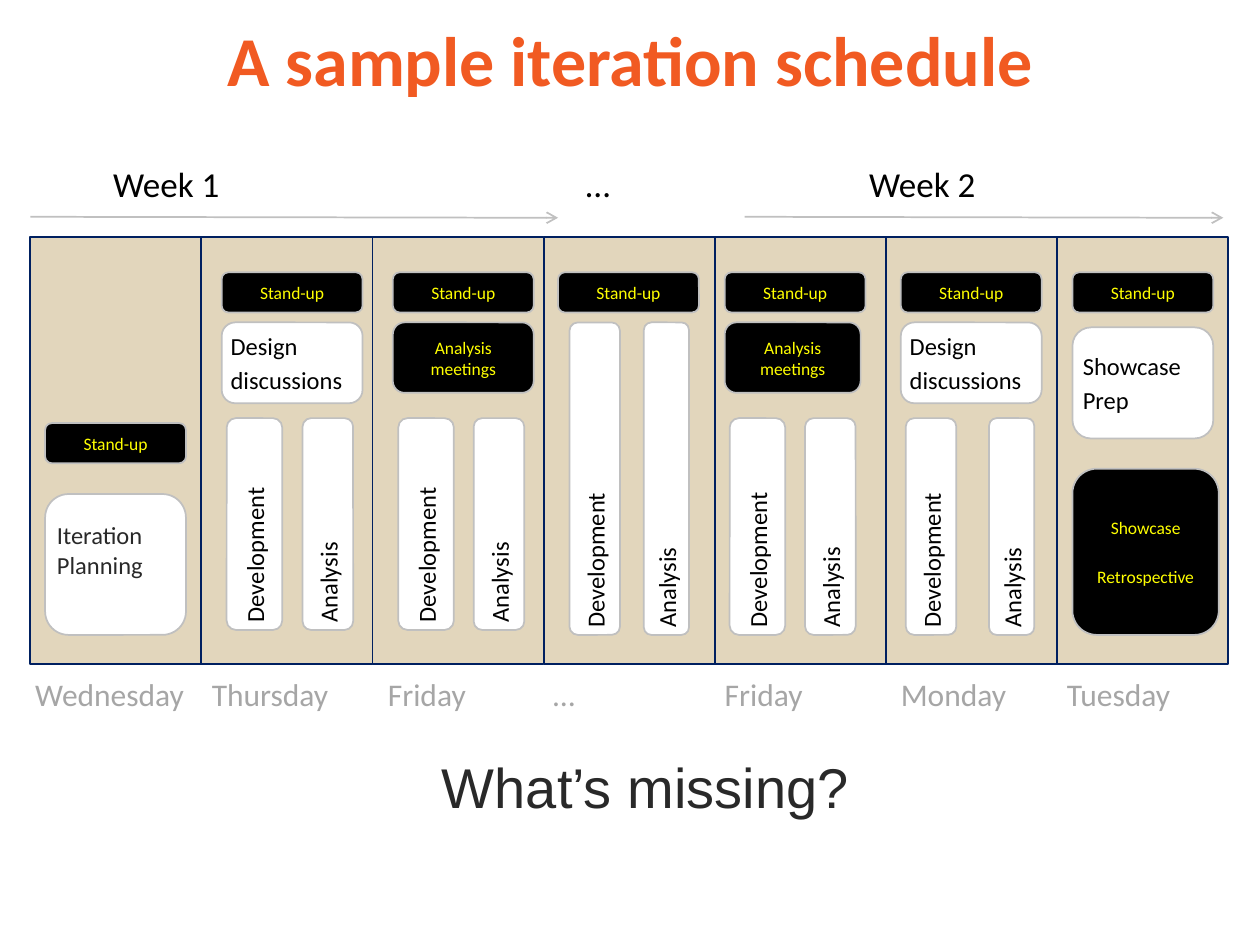
from lxml import etree
from pptx import Presentation
from pptx import util as u
from pptx.dml.color import RGBColor
from pptx.enum import shapes, text
from pptx.oxml import ns

COLOURS = {
    "title": "F15A22", "column": "C4AB73", "column_edge": "002060",
    "card_edge": "C0C0C0", "white": "FFFFFF", "black": "000000",
    "yellow": "FFFF00", "dark": "292929", "day": "A6A6A6",
}
RGB = {name: RGBColor.from_string(value) for name, value in COLOURS.items()}

deck = Presentation()
deck.slide_width, deck.slide_height = u.Cm(25.4), u.Cm(19.05)
page = deck.slides.add_slide(deck.slide_layouts[6])


def write(box, lines, size, colour, align="LEFT", anchor="TOP", inset=0,
          gap=0, font="Calibri"):
    """Fill a box with one paragraph per line, gap points apart."""
    frame = box.text_frame
    frame.word_wrap = True
    frame.vertical_anchor = text.MSO_ANCHOR[anchor]
    frame.margin_left = frame.margin_right = u.Cm(inset)
    frame.margin_top = frame.margin_bottom = u.Cm(inset)
    frame.text = "\n".join(lines)
    for number, para in enumerate(frame.paragraphs):
        para.alignment = text.PP_ALIGN[align]
        if number and gap:
            para.space_before = u.Pt(gap)
        for span in para.runs:
            span.font.name = font
            span.font.size = u.Pt(size)
            span.font.color.rgb = RGB[colour]
    return frame


def add_card(place, lines, fill="white", size=14, colour="black",
             align="LEFT", gap=2.8):
    """Add a rounded activity card; place is left, top, width, height in cm."""
    card = page.shapes.add_shape(shapes.MSO_SHAPE.ROUNDED_RECTANGLE,
                                 *[u.Cm(length) for length in place])
    card.shadow.inherit = False
    card.fill.solid()
    card.fill.fore_color.rgb = RGB[fill]
    card.line.color.rgb = RGB["card_edge"]
    card.line.width = u.Pt(1)
    return write(card, lines, size, colour, align, "MIDDLE", 0.1, gap)


# Title
title = page.shapes.add_textbox(u.Cm(1.02), 0, u.Cm(23.37), u.Cm(2.34))
frame = write(title, ["A sample iteration schedule"], 40, "title",
              "CENTER", "MIDDLE", 0.08)
frame.paragraphs[0].runs[0].font.bold = True

# Day columns
for day in range(7):
    column = page.shapes.add_shape(
        shapes.MSO_SHAPE.RECTANGLE, u.Cm(0.61 + 3.45 * day), u.Cm(4.78),
        u.Cm(3.45), u.Cm(8.61))
    column.shadow.inherit = False
    column.fill.solid()
    column.fill.fore_color.rgb = RGB["column"]
    fill_colour = column.fill._xPr.find(".//" + ns.qn("a:srgbClr"))
    etree.SubElement(fill_colour, ns.qn("a:alpha"), val="48000")
    column.line.color.rgb = RGB["column_edge"]
    column.line.width = u.Pt(1)

# Stand-up in every column, day name below it
days = [  # name, name left, stand-up left, stand-up top
    ("Wednesday", 0.71, 0.91, 8.53),
    ("Thursday", 4.27, 4.47, 5.49),
    ("Friday", 7.82, 7.92, 5.49),
    ("…", 11.15, 11.25, 5.49),
    ("Friday", 14.61, 14.61, 5.49),
    ("Monday", 18.16, 18.16, 5.49),
    ("Tuesday", 21.51, 21.62, 5.49),
]
black_style = {"fill": "black", "size": 10, "colour": "yellow",
               "align": "CENTER"}
for name, name_left, left, top in days:
    add_card((left, top, 2.84, 0.81), ["Stand-up"], **black_style)
    label = page.shapes.add_textbox(u.Cm(name_left), u.Cm(13.61),
                                    u.Cm(3.15), u.Cm(1.42))
    write(label, [name], 18, "day")

# Meetings and planning
for left in (4.47, 18.16):
    add_card((left, 6.5, 2.84, 1.63), ["Design", "discussions"])
for left, width in ((7.92, 2.84), (14.61, 2.74)):
    add_card((left, 6.5, width, 1.42), ["Analysis meetings"], **black_style)
planning = add_card((0.91, 9.96, 2.84, 2.84), ["Iteration", "Planning"],
                    colour="dark", gap=0)
planning.margin_bottom = u.Cm(0.7)
add_card((21.62, 6.6, 2.84, 2.24), ["Showcase", "Prep"])
add_card((21.62, 9.45, 2.95, 3.35), ["Showcase", "Retrospective"],
         gap=16, **black_style)

# Development and analysis tracks
tracks = [  # top, height, development left and width, analysis left and width
    (8.43, 4.27, 4.57, 1.12, 6.1, 1.02),
    (8.43, 4.27, 8.03, 1.12, 9.55, 1.02),
    (6.5, 6.3, 11.48, 1.02, 12.98, 0.91),
    (8.43, 4.37, 14.71, 1.12, 16.23, 1.02),
    (8.43, 4.37, 18.26, 1.02, 19.94, 0.91),
]
for top, height, dev_left, dev_width, analysis_left, analysis_width in tracks:
    for name, left, width in (("Development", dev_left, dev_width),
                              ("Analysis", analysis_left, analysis_width)):
        frame = add_card((left, top, width, height), [name])
        frame._txBody.bodyPr.set("vert", "vert270")

# Week arrows
for start, end in ((0.61, 11.25), (15.01, 24.66)):
    arrow = page.shapes.add_connector(
        shapes.MSO_CONNECTOR.STRAIGHT, u.Cm(start), u.Cm(4.37),
        u.Cm(end), u.Cm(4.39))
    arrow.line.color.rgb = RGB["card_edge"]
    arrow.line.width = u.Pt(1)
    etree.SubElement(arrow.line._get_or_add_ln(), ns.qn("a:tailEnd"),
                     type="arrow")
    etree.SubElement(arrow._element.spPr, ns.qn("a:effectLst"))

# Week labels, spread with tab stops
weeks = page.shapes.add_textbox(u.Cm(2.03), u.Cm(3.15), u.Cm(22.2), u.Cm(1.12))
frame = write(weeks, ["Week 1\t…\tWeek 2"], 20, "black", inset=0.13)
frame.margin_left = u.Cm(0.25)
tab_list = etree.SubElement(frame.paragraphs[0]._p.get_or_add_pPr(),
                            ns.qn("a:tabLst"))
for position in (9.53, 15.24):
    etree.SubElement(tab_list, ns.qn("a:tab"), pos=str(u.Cm(position)),
                     algn="l")

# Closing question
question = page.shapes.add_textbox(u.Cm(8.66), u.Cm(15.04),
                                   u.Cm(8.79), u.Cm(1.63))
frame = write(question, ["What’s missing?"], 32, "dark", inset=0.13,
              font="Arial")
frame.margin_left = frame.margin_right = u.Cm(0.25)
frame.word_wrap = False

deck.save("out.pptx")
